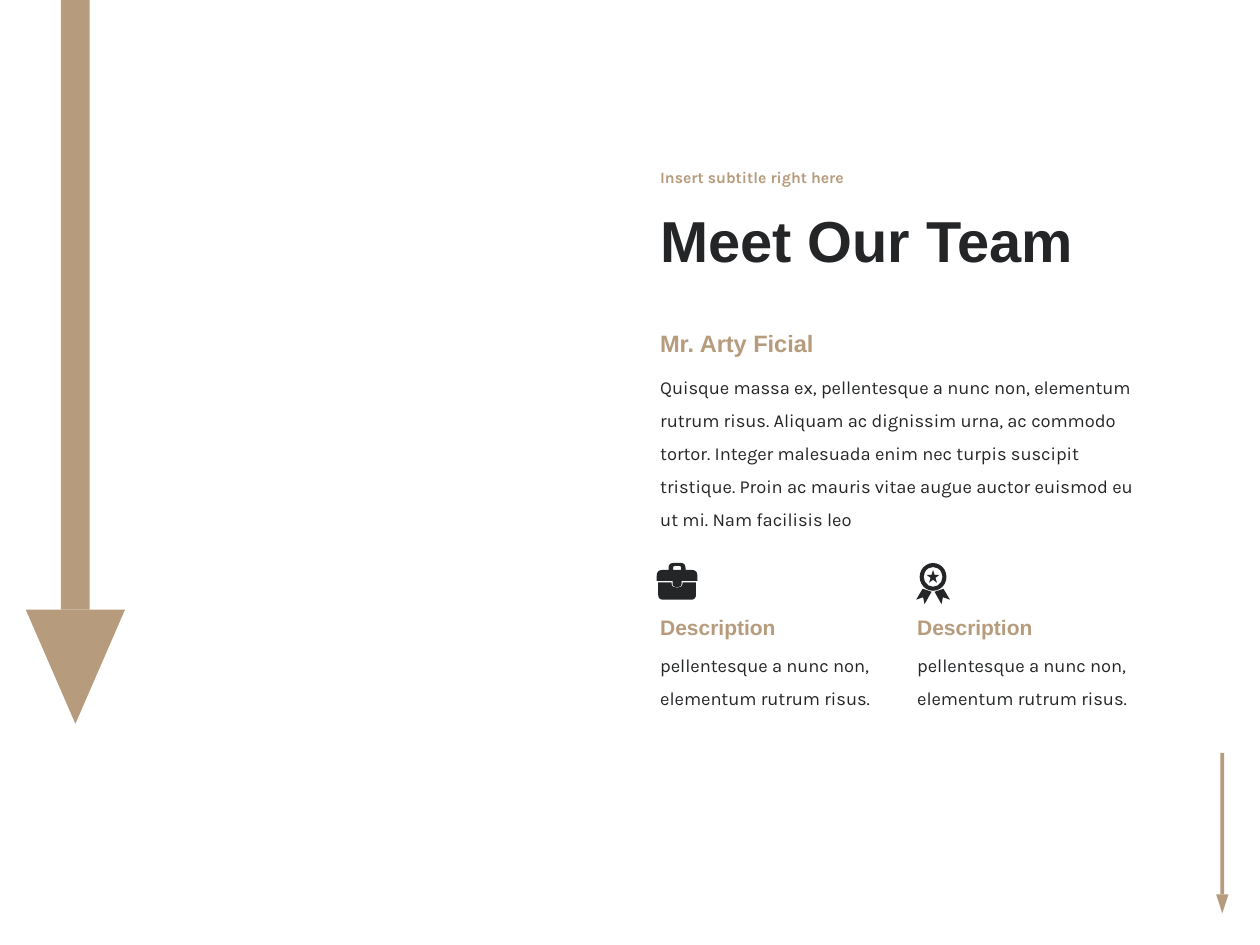
import math

import pptx
import pptx.dml.color
import pptx.enum.shapes
import pptx.enum.text
import pptx.util

Cm = pptx.util.Cm
Shape = pptx.enum.shapes.MSO_SHAPE
Anchor = pptx.enum.text.MSO_ANCHOR
AutoSize = pptx.enum.text.MSO_AUTO_SIZE

COLORS = {"tan": "B69B7D", "ink": "242527", "paper": "FFFFFF"}
HEADING_FONT, BODY_FONT = "Arial", "Karla"
LEFT_COLUMN, RIGHT_COLUMN = 13.06, 18.24


def rounded(corners, steps=6):
    """Return the outline of a polygon whose (x, y, radius) corners are softened."""
    points = []
    for index, (x, y, radius) in enumerate(corners):
        if not radius:
            points.append((x, y))
            continue
        ends = []
        for next_x, next_y, _ in (corners[index - 1], corners[(index + 1) % len(corners)]):
            share = radius / math.hypot(next_x - x, next_y - y)
            ends.append((x + (next_x - x) * share, y + (next_y - y) * share))
        (start_x, start_y), (end_x, end_y) = ends
        for step in range(steps + 1):
            t = step / steps
            a, b, c = (1 - t) ** 2, 2 * t * (1 - t), t ** 2
            points.append((a * start_x + b * x + c * end_x, a * start_y + b * y + c * end_y))
    return points


def mirrored(half, center):
    """Return a symmetric closed outline from its left half."""
    return half + [(2 * center - x, y, radius) for x, y, radius in reversed(half)]


class TeamSlide:
    """Hold the style and the current slide."""

    def __init__(self, presentation):
        self.slide = presentation.slides.add_slide(presentation.slide_layouts[6])
        self.slide.background.fill.solid()
        self.slide.background.fill.fore_color.rgb = self.color("paper")

    def color(self, name):
        return pptx.dml.color.RGBColor.from_string(COLORS[name])

    def paint(self, shape, color):
        shape.shadow.inherit = False
        shape.fill.solid()
        shape.fill.fore_color.rgb = self.color(color)
        shape.line.fill.background()
        return shape

    def preset(self, kind, left, top, width, height, color):
        shape = self.slide.shapes.add_shape(kind, Cm(left), Cm(top), Cm(width), Cm(height))
        return self.paint(shape, color)

    def down_arrow(self, center, top, shaft, head):
        for kind, (width, height) in ((Shape.RECTANGLE, shaft), (Shape.ISOSCELES_TRIANGLE, head)):
            shape = self.preset(kind, center - width / 2, top, width, height, "tan")
            top += height
        shape.rotation = 180

    def outline(self, *contours):
        contours = [[(Cm(x), Cm(y)) for x, y in rounded(corners)] for corners in contours]
        builder = self.slide.shapes.build_freeform(*contours[0][0], scale=1.0)
        builder.add_line_segments(contours[0][1:], close=True)
        for contour in contours[1:]:
            builder.move_to(*contour[0])
            builder.add_line_segments(contour[1:], close=True)
        return self.paint(builder.convert_to_shape(), "ink")

    def text(self, wording, left, top, width, height, size, font=BODY_FONT,
             color="ink", bold=False, spacing=1.0, anchor=Anchor.TOP):
        box = self.slide.shapes.add_textbox(Cm(left), Cm(top), Cm(width), Cm(height))
        frame = box.text_frame
        frame.word_wrap = True
        frame.vertical_anchor = anchor
        if anchor == Anchor.TOP:
            frame.auto_size = AutoSize.SHAPE_TO_FIT_TEXT
        paragraph = frame.paragraphs[0]
        paragraph.text = wording
        paragraph.line_spacing = spacing
        paragraph.font.name = font
        paragraph.font.size = pptx.util.Pt(size)
        paragraph.font.bold = bold
        paragraph.font.color.rgb = self.color(color)

    def heading(self, wording, left, top, width, height, size):
        self.text(wording, left, top, width, height, size, HEADING_FONT, "tan", True)

    def description(self, left):
        self.text("pellentesque a nunc non, elementum rutrum risus.",
                  left, 12.85, 4.8, 1.52, 10.5, spacing=1.5)
        self.heading("Description", left, 12.27, 3.81, 0.76, 12)

    def briefcase(self, center):
        base = [(13.54, 11.74, 0), (13.27, 11.74, 0), (13.27, 12.09, 0.1)]
        notch = [(13.54, 11.84, 0.08)]
        lid = [(13.56, 11.83, 0.06), (13.56, 11.71, 0), (13.24, 11.71, 0),
               (13.24, 11.49, 0.12), (13.48, 11.49, 0), (13.48, 11.35, 0.1)]
        opening = [(13.57, 11.49, 0), (13.57, 11.41, 0.04)]
        self.outline(mirrored(notch + base, center))
        self.outline(mirrored(lid, center), mirrored(opening, center))

    def medal(self, center):
        ring = self.preset(Shape.DONUT, center - 0.27, 11.35, 0.54, 0.56, "ink")
        ring.adjustments[0] = 0.15
        self.preset(Shape.STAR_5_POINT, center - 0.13, 11.49, 0.26, 0.26, "ink")
        ribbon = ((0.21, 11.87), (0.03, 11.93), (0.17, 12.18), (0.2, 12.04), (0.34, 12.09))
        for side in (-1, 1):
            self.outline([(center + side * offset, y, 0) for offset, y in ribbon])


def main():
    presentation = pptx.Presentation()
    presentation.slide_width, presentation.slide_height = Cm(25.4), Cm(19.05)
    team = TeamSlide(presentation)
    team.down_arrow(24.64, 15.18, (0.08, 2.85), (0.25, 0.38))
    team.text("Meet Our Team", LEFT_COLUMN, 3.61, 14.3, 2.62, 33, HEADING_FONT,
              bold=True, spacing=0.9, anchor=Anchor.MIDDLE)
    team.text("Insert subtitle right here", LEFT_COLUMN, 3.12, 14.3, 0.97, 9,
              color="tan", bold=True, spacing=0.9, anchor=Anchor.MIDDLE)
    team.down_arrow(1.52, -0.53, (0.58, 12.82), (2, 2.3))
    team.text("Quisque massa ex, pellentesque a nunc non, elementum rutrum risus. "
              "Aliquam ac dignissim urna, ac commodo tortor. Integer malesuada enim nec "
              "turpis suscipit tristique. Proin ac mauris vitae augue auctor euismod eu "
              "ut mi. Nam facilisis leo",
              LEFT_COLUMN, 7.24, 10.16, 2.87, 10.5, spacing=1.5)
    team.heading("Mr. Arty Ficial", LEFT_COLUMN, 6.5, 5.56, 0.84, 13.5)
    for left in (LEFT_COLUMN, RIGHT_COLUMN):
        team.description(left)
    team.briefcase(13.65)
    team.medal(18.81)
    presentation.save("out.pptx")


if __name__ == "__main__":
    main()
